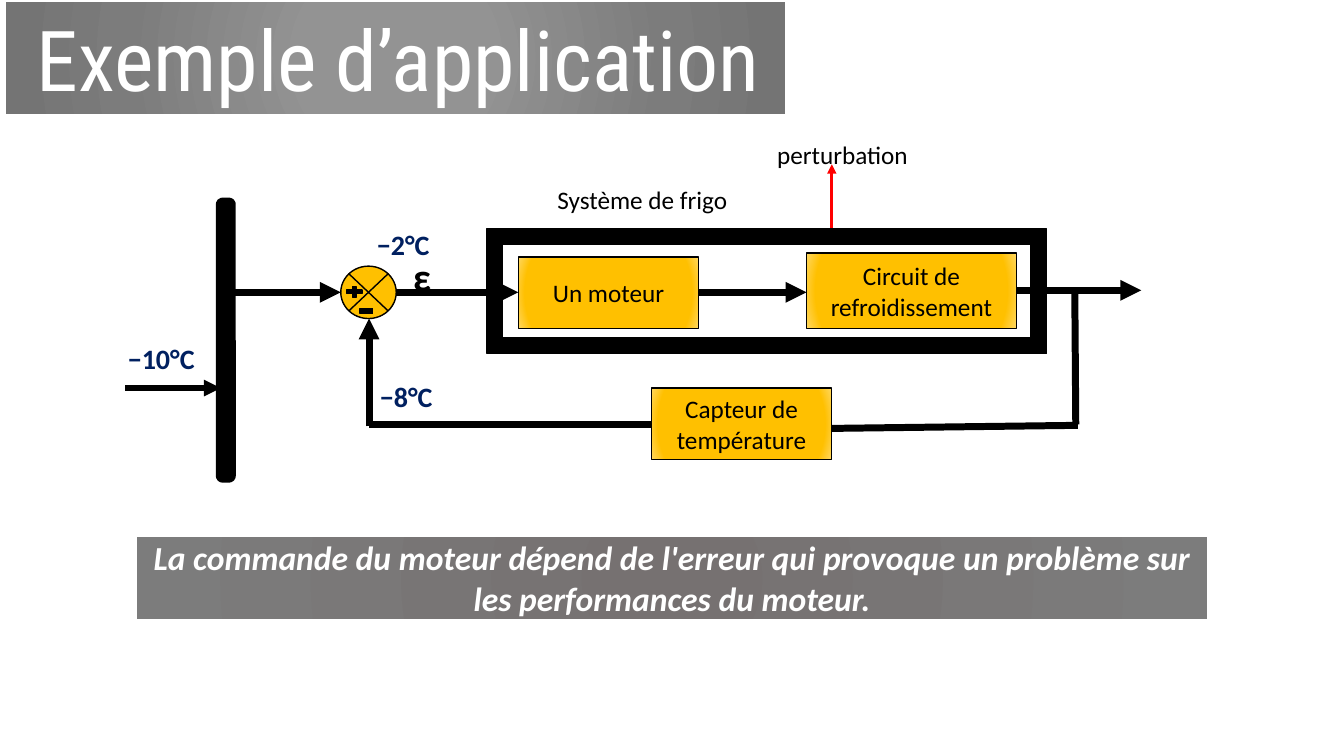
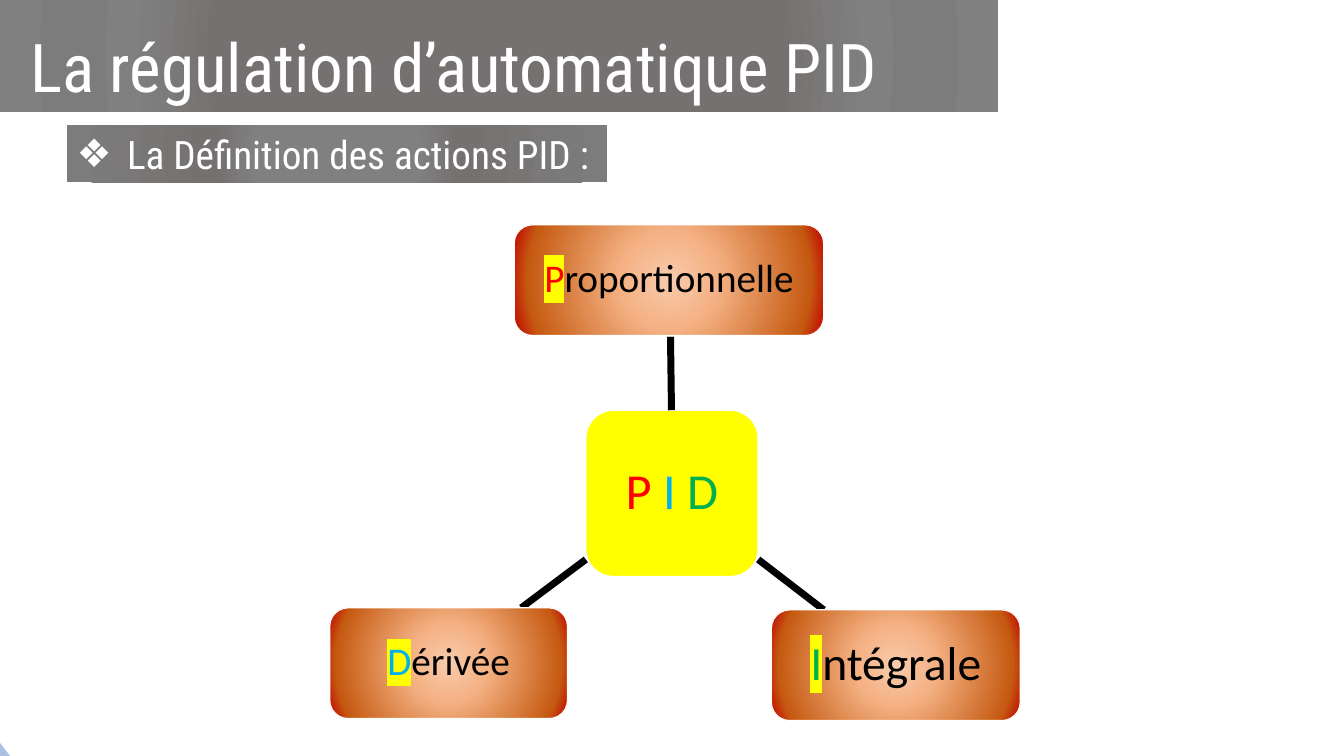
import lxml.etree
import pptx
import pptx.dml.color
import pptx.enum.shapes
import pptx.enum.text
import pptx.oxml.ns
import pptx.util

RGB = pptx.dml.color.RGBColor
KIND = pptx.enum.shapes.MSO_SHAPE
ALIGN = pptx.enum.text.PP_ALIGN
ANCHOR = pptx.enum.text.MSO_ANCHOR
Pt = pptx.util.Pt

# Colours
BLACK = RGB(0x00, 0x00, 0x00)
WHITE = RGB(0xFF, 0xFF, 0xFF)
NAVY = RGB(0x00, 0x20, 0x60)
RED = RGB(0xFF, 0x00, 0x00)
BLUE = RGB(0x00, 0xB0, 0xF0)
GREEN = RGB(0x00, 0xB0, 0x50)
YELLOW = RGB(0xFF, 0xFF, 0x00)
PALE = RGB(0xAB, 0xC0, 0xE4)
AMBER = RGB(0xFF, 0xC0, 0x00)
CREAM = RGB(0xFF, 0xD9, 0x66)
STONE = RGB(0x76, 0x71, 0x71)
ASH = RGB(0x7C, 0x7C, 0x7C)
GREY = RGB(0x80, 0x80, 0x80)
SILVER = RGB(0x93, 0x93, 0x93)
IRON = RGB(0x74, 0x74, 0x74)
PEACH = RGB(0xF8, 0xCB, 0xAD)
CORAL = RGB(0xF4, 0xB1, 0x83)
RUST = RGB(0xC5, 0x5A, 0x11)
CRIMSON = RGB(0xC0, 0x00, 0x00)

# Round gradients: (percent from the centre, colour)
GOLD = [(0, AMBER), (86, AMBER), (100, CREAM)]
COPPER = [(0, PEACH), (30, CORAL), (86, RUST), (100, CRIMSON)]
STEEL = [(0, SILVER), (23, SILVER), (69, ASH), (97, IRON)]
SLATE = [(56, STONE), (74, GREY), (83, ASH), (100, GREY)]
SMOKE = [(0, GREY), (30, GREY), (45, STONE), (100, ASH)]
FOG = [(0, STONE), (100, ASH)]

BODY = "Calibri"
HEAD = "Roboto Condensed"


def px(*values):
    """Turn px, 100 to the inch, into EMU."""
    return [value * 9144 for value in values]


def sub(parent, name, **attrs):
    return lxml.etree.SubElement(parent, pptx.oxml.ns.qn("a:" + name), attrs)


def tint(parent, color):
    sub(parent, "srgbClr", val=str(color))


def paint(shape, fill, edge=None, width=1):
    """Fill with a colour or a list of gradient stops, then set the outline."""
    if isinstance(fill, list):
        shape.fill.gradient()
        grad = shape._element.spPr.find(pptx.oxml.ns.qn("a:gradFill"))
        grad.clear()
        stops = sub(grad, "gsLst")
        for place, color in fill:
            tint(sub(stops, "gs", pos=str(place * 1000)), color)
        ring = sub(grad, "path", path="circle")
        sub(ring, "fillToRect", l="50000", t="50000", r="50000", b="50000")
    else:
        shape.fill.solid()
        shape.fill.fore_color.rgb = fill
    if edge is None:
        shape.line.fill.background()
    else:
        shape.line.color.rgb = edge
        shape.line.width = Pt(width)


def place(shape, box):
    shape.left, shape.top, shape.width, shape.height = px(*box)


def pad(frame, left=10, top=5, right=10, bottom=5):
    (frame.margin_left, frame.margin_top,
     frame.margin_right, frame.margin_bottom) = px(left, top, right, bottom)


def write(frame, text, size, color=BLACK, font=BODY, align=ALIGN.LEFT,
          anchor=ANCHOR.TOP, bold=False, italic=False):
    """Write one paragraph of plain text and return it."""
    frame.word_wrap = True
    frame.auto_size = pptx.enum.text.MSO_AUTO_SIZE.NONE
    frame.vertical_anchor = anchor
    para = frame.paragraphs[0]
    para.text = text
    para.alignment = align
    para.space_before = Pt(0)
    style = para.font
    style.name, style.size = font, Pt(size)
    style.bold, style.italic = bold, italic
    style.color.rgb = color
    return para


def add_run(para, text, color, mark=None):
    run = para.add_run()
    run.text = text
    run.font.color.rgb = color
    if mark is not None:
        tint(sub(run._r.get_or_add_rPr(), "highlight"), mark)


def add_shape(slide, kind, box, fill, edge=None, width=1):
    shape = slide.shapes.add_shape(kind, *px(*box))
    shape.shadow.inherit = False
    paint(shape, fill, edge, width)
    return shape


def add_line(slide, ends, width=5, color=BLACK, arrow=False):
    line = slide.shapes.add_connector(
        pptx.enum.shapes.MSO_CONNECTOR.STRAIGHT, *px(*ends))
    line.line.color.rgb = color
    line.line.width = Pt(width)
    if arrow:
        sub(line.line._get_or_add_ln(), "tailEnd", type="triangle")
    sub(line._element.spPr, "effectLst")


def add_label(slide, box, text, size=18, color=BLACK, bold=False):
    label = slide.shapes.add_textbox(*px(*box))
    write(label.text_frame, text, size, color, bold=bold)


def add_block(slide, box, text):
    block = add_shape(slide, KIND.RECTANGLE, box, GOLD, BLACK)
    write(block.text_frame, text, 18, align=ALIGN.CENTER, anchor=ANCHOR.MIDDLE)


def add_node(slide, box, fill, size, parts):
    """Rounded node with centred runs: (text, colour, highlight)."""
    node = add_shape(slide, KIND.ROUNDED_RECTANGLE, box, fill, WHITE)
    para = write(node.text_frame, "", size, align=ALIGN.CENTER,
                 anchor=ANCHOR.MIDDLE)
    para.line_spacing = 0.9
    for part in parts:
        add_run(para, *part)


def set_title(slide, box, fill, text, size):
    title = slide.shapes.title
    place(title, box)
    paint(title, fill)
    write(title.text_frame, text, size, WHITE, HEAD, anchor=ANCHOR.BOTTOM)
    pad(title.text_frame, left=30, bottom=6)


def set_list(slide, box, fill, text):
    body = slide.placeholders[1]
    place(body, box)
    paint(body, fill)
    props = body.text_frame.paragraphs[0]._p.get_or_add_pPr()
    props.set("marL", str(px(50)[0]))
    props.set("indent", str(px(-50)[0]))
    sub(props, "buChar", char="❖")
    write(body.text_frame, text, 28, WHITE, HEAD)
    pad(body.text_frame)


def draw_loop(slide):
    set_title(slide, (6, 2, 773, 111), STEEL, "Exemple d’application", 60)

    # Forward path
    add_shape(slide, KIND.FLOWCHART_SUMMING_JUNCTION, (338, 264, 55, 52),
              GOLD, BLACK)
    for start, end, level in ((230, 338, 290), (393, 514, 290),
                              (693, 800, 290), (1008, 1132, 288)):
        add_line(slide, (start, level, end, level), arrow=True)

    # Feedback path
    add_line(slide, (1066, 288, 1067, 421))
    add_line(slide, (1069, 422, 825, 425))
    add_line(slide, (646, 421, 366, 421))
    add_line(slide, (366, 423, 366, 316), arrow=True)

    # Blocks, signs, frame and input bar
    add_block(slide, (514, 255, 179, 71), "Un moteur")
    add_block(slide, (800, 251, 208, 75), "Circuit de refroidissement")
    add_block(slide, (646, 385, 179, 71), "Capteur de température")
    for kind, box, width in (
            (KIND.MATH_PLUS, (341, 282, 21, 15), 1),
            (KIND.MATH_MINUS, (355, 297, 17, 23), 1),
            (KIND.FRAME, (483, 227, 555, 124), 1),
            (KIND.ROUNDED_RECTANGLE, (219, 201, 10, 273), 7)):
        add_shape(slide, kind, box, BLACK, BLACK, width)
    add_line(slide, (124, 385, 219, 385), 4, arrow=True)
    add_line(slide, (825, 226, 825, 163), 2.25, RED, arrow=True)

    # Labels
    add_label(slide, (400, 245, 42, 57), "ε", 28, bold=True)
    for box, text in (((117, 334, 137, 44), "−10°C"),
                      ((367, 372, 85, 44), "−8°C"),
                      ((364, 221, 137, 44), "−2°C")):
        add_label(slide, box, text, 20, NAVY, True)
    add_label(slide, (543, 178, 192, 40), "Système de frigo")
    add_label(slide, (761, 133, 200, 40), "perturbation")

    # Conclusion
    note = add_shape(slide, KIND.RECTANGLE, (131, 528, 1071, 91), FOG, WHITE, 7)
    write(note.text_frame,
          "La commande du moteur dépend de l'erreur qui provoque un problème "
          "sur les performances du moteur.",
          24, WHITE, align=ALIGN.CENTER, bold=True, italic=True)


def draw_pid(slide):
    add_shape(slide, KIND.RIGHT_TRIANGLE, (0, 737, 10, 13), PALE)
    set_title(slide, (0, 0, 990, 111), SLATE,
              "La régulation d’automatique PID", 48)
    set_list(slide, (66, 124, 536, 57), SMOKE, "La Définition des actions PID :")

    # Hub and spokes
    add_node(slide, (581, 407, 171, 165), [(0, YELLOW), (100, YELLOW)], 36,
             [("P ", RED), ("I ", BLUE), ("D", GREEN)])
    for ends in ((666, 407, 665, 334), (752, 555, 817, 605),
                 (581, 555, 517, 603)):
        add_line(slide, ends)

    # Actions
    for box, size, first, color, rest in (
            ((510, 223, 307, 110), 28, "P", RED, "roportionnelle"),
            ((765, 605, 247, 110), 34, "I", GREEN, "ntégrale"),
            ((327, 603, 236, 110), 28, "D", BLUE, "érivée")):
        add_node(slide, box, COPPER, size,
                 [(first, color, YELLOW), (rest, BLACK)])


def main():
    deck = pptx.Presentation()
    deck.slide_width, deck.slide_height = px(1333, 750)
    # Layout 5 has a title only, layout 1 a title and a body
    for layout, draw in ((5, draw_loop), (1, draw_pid)):
        draw(deck.slides.add_slide(deck.slide_layouts[layout]))
    deck.save("out.pptx")


if __name__ == "__main__":
    main()
